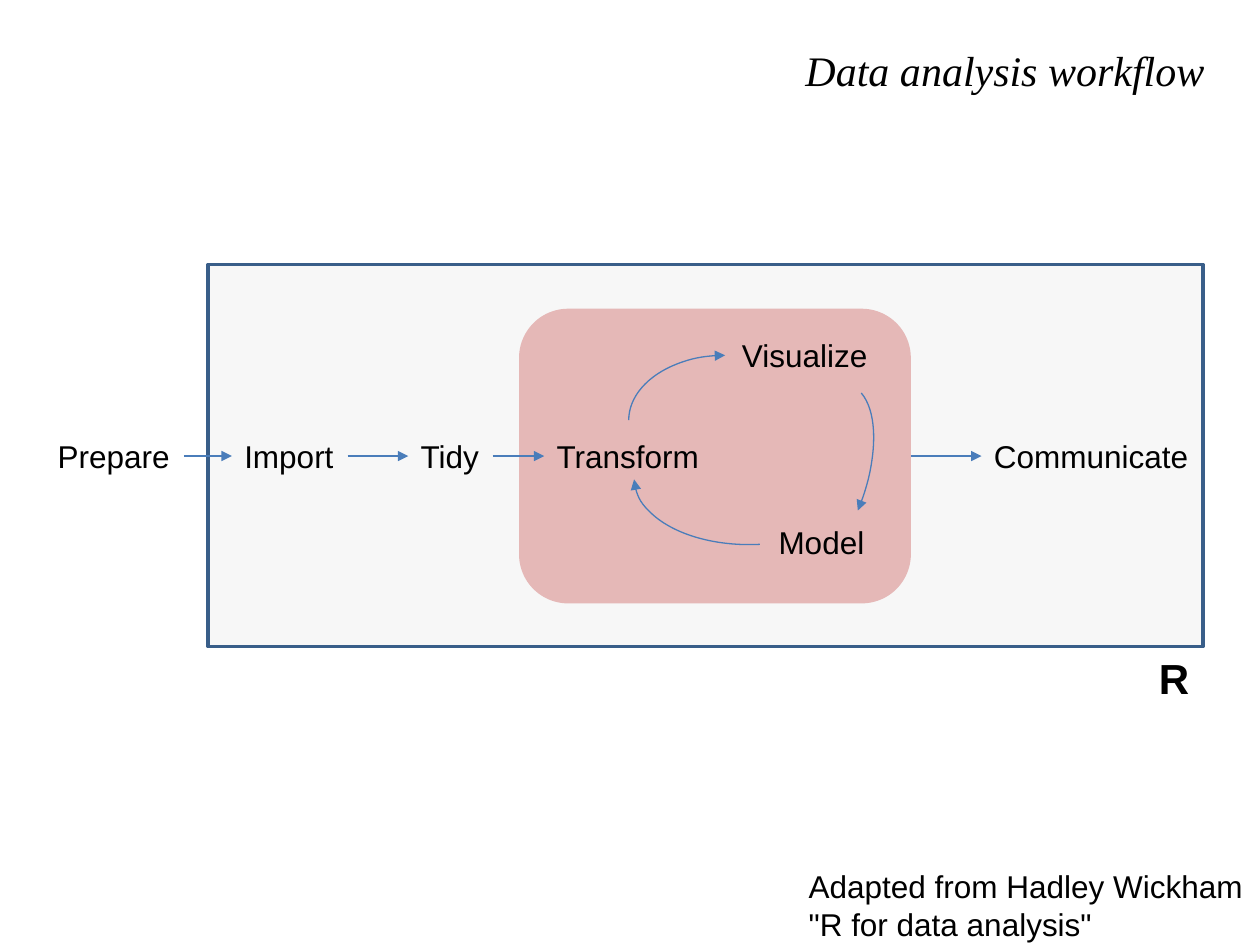
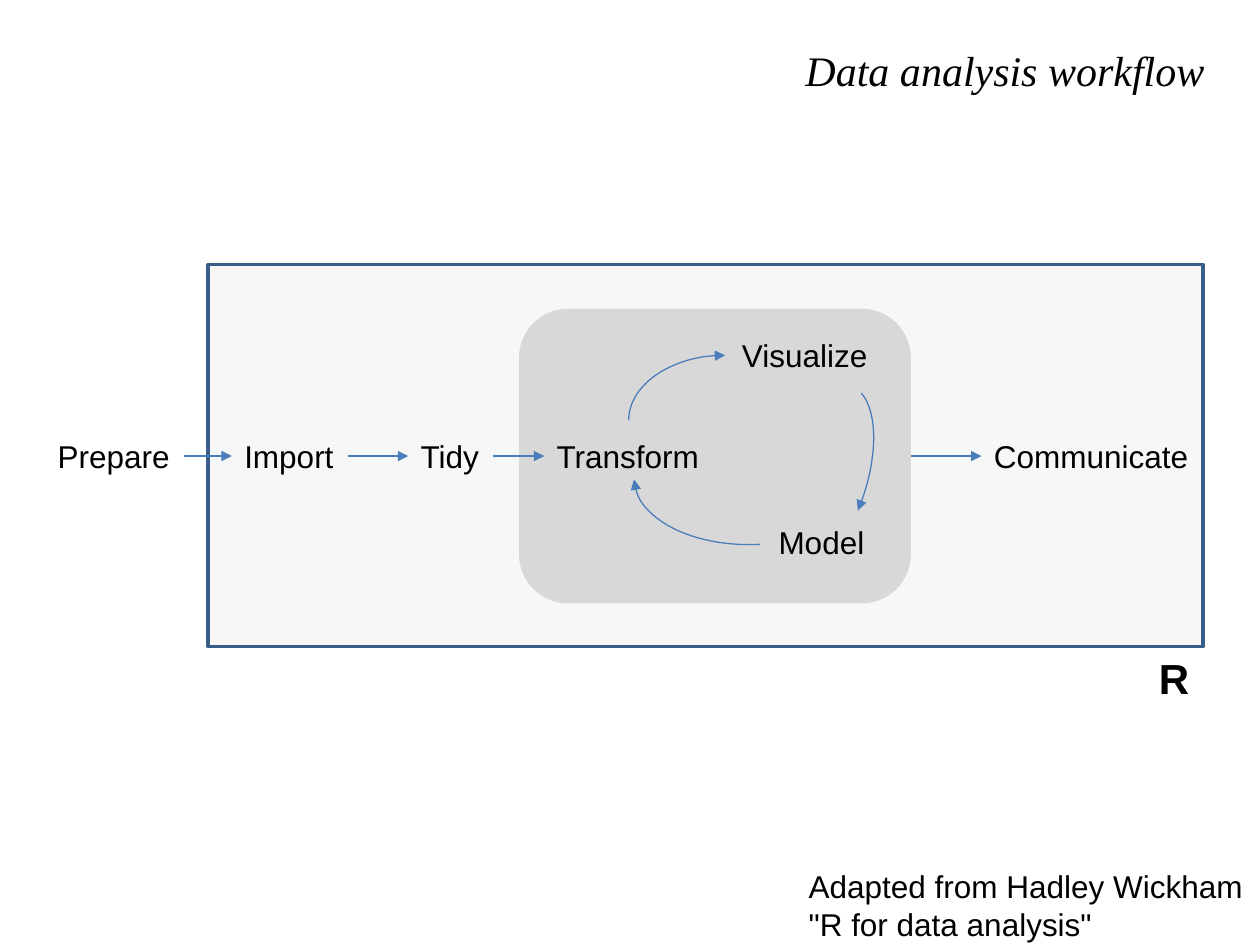
from dataclasses import dataclass

from lxml import etree
from pptx import Presentation
from pptx import util as u
from pptx.dml.color import RGBColor
from pptx.enum import shapes, text
from pptx.oxml import ns


@dataclass(frozen=True)
class Theme:
    ink: str = "000000"
    grey: str = "D8D8D8"
    rose: str = "E5B8B7"
    frame: str = "395E89"
    arrow: str = "4A7DBA"
    title_font: str = "Times New Roman"
    body_font: str = "Arial"
    large: float = 24
    body: float = 18
    frame_line: float = 2
    arrow_line: float = 0.75


class Deck:
    """Holds the theme and the current slide; all lengths are points."""

    def __init__(self, theme):
        self.theme = theme
        self.prs = Presentation()
        self.prs.slide_width, self.prs.slide_height = u.Pt(720), u.Pt(540)
        self.s = None

    def new_slide(self, title, box):
        self.s = self.prs.slides.add_slide(self.prs.slide_layouts[5])
        sp = self.s.shapes.title
        sp.left, sp.top, sp.width, sp.height = map(u.Pt, box)
        tf = sp.text_frame
        tf.text = title
        tf.vertical_anchor = text.MSO_ANCHOR.MIDDLE
        p = tf.paragraphs[0]
        p.alignment = text.PP_ALIGN.RIGHT
        self.font(p, self.theme.title_font, self.theme.large, italic=True)

    def font(self, p, name, size, bold=False, italic=False):
        p.font.name, p.font.size = name, u.Pt(size)
        p.font.bold, p.font.italic = bold, italic
        p.font.color.rgb = RGBColor.from_string(self.theme.ink)

    def label(self, words, box, size=None, bold=False):
        tf_box = self.s.shapes.add_textbox(*map(u.Pt, box))
        tf = tf_box.text_frame
        tf.text = words
        tf.word_wrap = False
        tf.auto_size = text.MSO_AUTO_SIZE.SHAPE_TO_FIT_TEXT
        for p in tf.paragraphs:
            self.font(p, self.theme.body_font, size or self.theme.body, bold)
        return tf_box

    def panel(self, kind, box, fill, line=None, opacity=None):
        sp = self.s.shapes.add_shape(kind, *map(u.Pt, box))
        sp.shadow.inherit = False
        sp.fill.solid()
        sp.fill.fore_color.rgb = RGBColor.from_string(fill)
        if opacity is not None:
            color = sp.fill._xPr.find(".//" + ns.qn("a:srgbClr"))
            etree.SubElement(color, ns.qn("a:alpha"), val=str(opacity * 1000))
        if line:
            sp.line.color.rgb = RGBColor.from_string(line)
            sp.line.width = u.Pt(self.theme.frame_line)
        else:
            sp.line.fill.background()
        return sp

    def arrow_style(self, sp):
        sp.line.color.rgb = RGBColor.from_string(self.theme.arrow)
        sp.line.width = u.Pt(self.theme.arrow_line)
        ln = sp.line._get_or_add_ln()
        etree.SubElement(ln, ns.qn("a:tailEnd"), type="triangle")

    def arc_arrow(self, box, rotation, start):
        sp = self.s.shapes.add_shape(shapes.MSO_SHAPE.ARC, *map(u.Pt, box))
        sp.shadow.inherit = False
        sp.fill.background()
        sp.rotation = rotation
        sp.adjustments[0], sp.adjustments[1] = start, 0
        self.arrow_style(sp)

    def arrow(self, source, target):
        """Runs from the right side of source to the left side of target."""
        sp = self.s.shapes.add_connector(shapes.MSO_CONNECTOR.STRAIGHT, 0, 0, 0, 0)
        sp.begin_connect(source, 3)
        sp.end_connect(target, 1)
        self.arrow_style(sp)
        etree.SubElement(sp._element.spPr, ns.qn("a:effectLst"))


# Layout: left, top and width of each step; all steps share one height
ROW_TOP, STEP_HEIGHT = 246.2, 28.8
STEPS = {
    "Import": (132.5, ROW_TOP, 66.2),
    "Prepare": (25.9, ROW_TOP, 79.2),
    "Tidy": (233.3, ROW_TOP, 48.2),
    "Visualize": (416.9, 188.6, 87.1),
    "Transform": (311, ROW_TOP, 96.5),
    "Model": (437.8, 295.2, 64.1),
    "Communicate": (560.9, ROW_TOP, 126.7),
}
CYCLE_ARCS = [  # box, rotation, start angle
    ((377.3, 185, 74.2, 110.2), 270, 162),
    ((430.6, 215.3, 61.9, 129.6), 22.2, 166.01),
    ((362.2, 229.7, 139.7, 81.4), 177.1, 162),
]
CHAIN = ["Prepare", "Import", "Tidy", "Transform"]


def workflow_slide(deck, cycle_fill):
    theme = deck.theme
    deck.new_slide("Data analysis workflow", (19.4, 21.6, 676.1, 36))

    # Frame for R and the panel behind the cycle
    deck.panel(shapes.MSO_SHAPE.RECTANGLE, (118.8, 151.2, 568.8, 218.2),
               theme.grey, theme.frame, opacity=20)
    cycle = deck.panel(shapes.MSO_SHAPE.ROUNDED_RECTANGLE,
                       (296.6, 176.4, 223.9, 168.4), cycle_fill)

    # Steps
    steps = {name: deck.label(name, (*place, STEP_HEIGHT))
             for name, place in STEPS.items()}

    # Arrows: the cycle, then the main line
    for arc in CYCLE_ARCS:
        deck.arc_arrow(*arc)
    for source, target in zip(CHAIN, CHAIN[1:]):
        deck.arrow(steps[source], steps[target])
    deck.arrow(cycle, steps["Communicate"])

    # Frame name and credit
    deck.label("R", (655.2, 369.4, 31.7, 36.7), theme.large, bold=True)
    deck.label('Adapted from Hadley Wickham\n"R for data analysis"',
               (455, 491.8, 265, 51.1))


def main():
    theme = Theme()
    deck = Deck(theme)
    for cycle_fill in (theme.rose, theme.grey):
        workflow_slide(deck, cycle_fill)
    deck.prs.save("out.pptx")


if __name__ == "__main__":
    main()
